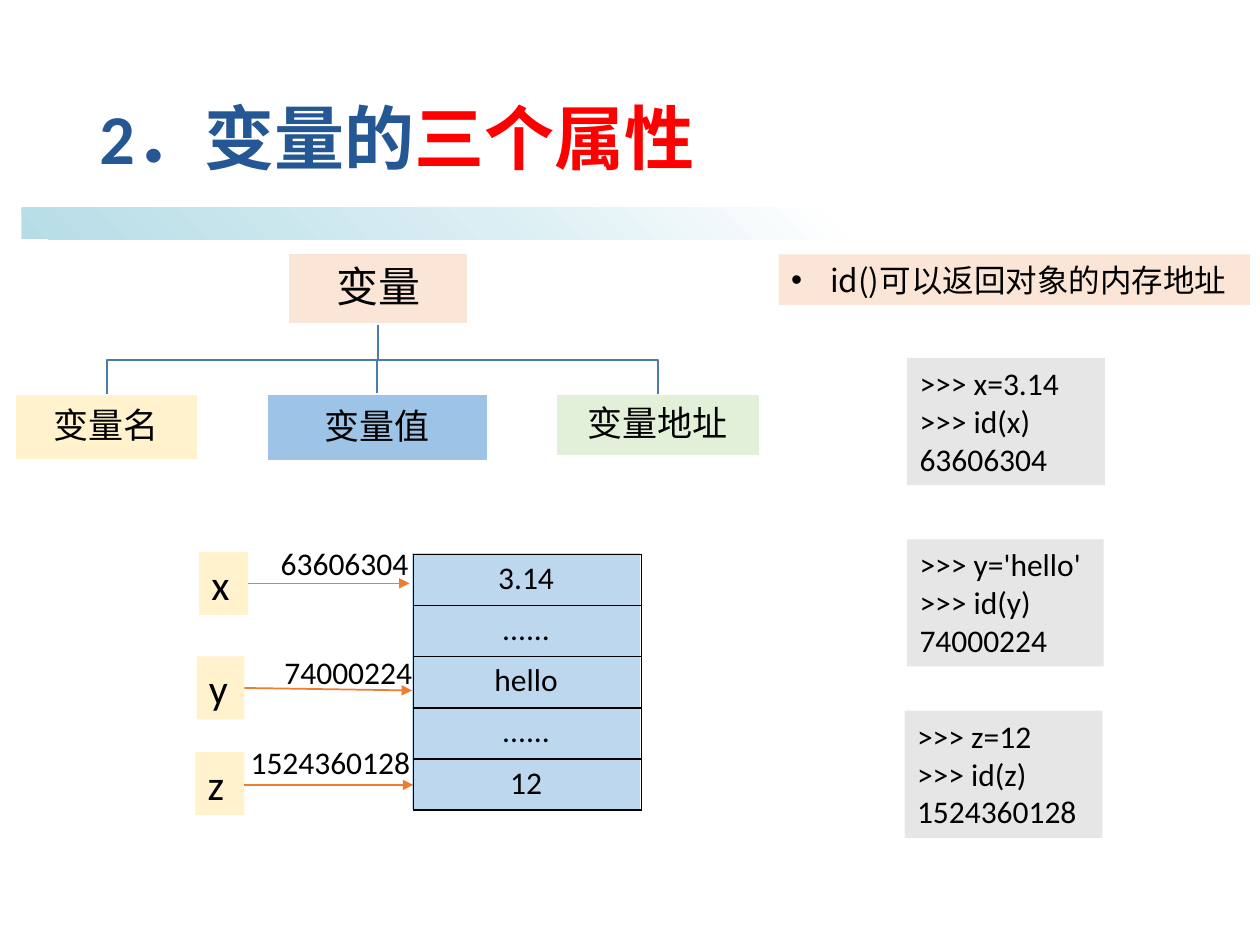
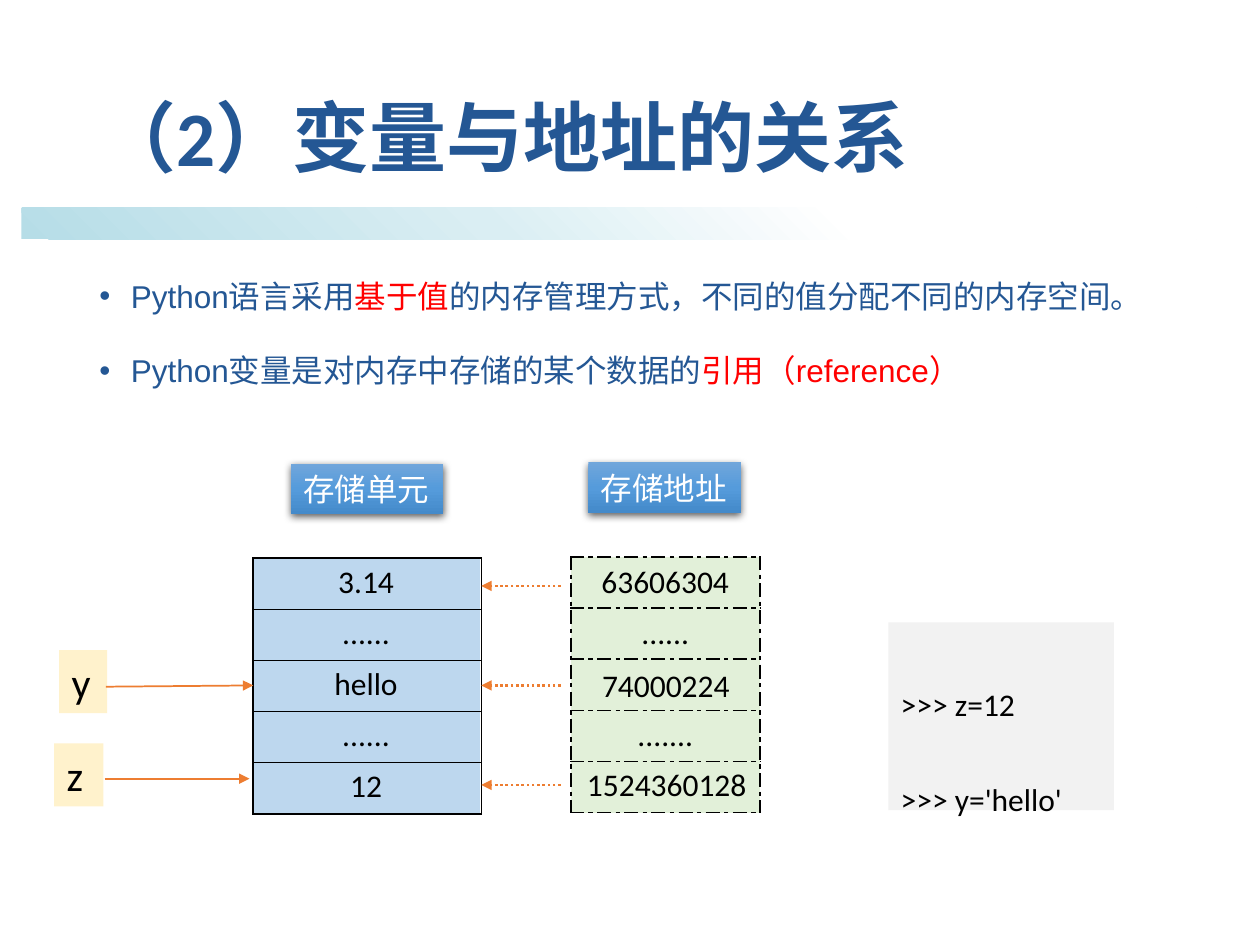
from lxml import etree
from pptx import Presentation
from pptx import util as u
from pptx.dml.color import RGBColor
from pptx.enum import dml, shapes, text
from pptx.oxml.ns import qn

PX = 9144
NAVY = RGBColor(0x24, 0x57, 0x94)
RED = RGBColor(0xFF, 0, 0)
BLACK = RGBColor(0, 0, 0)
WHITE = RGBColor(0xFF, 0xFF, 0xFF)
PEACH = RGBColor(0xFB, 0xE5, 0xD6)
CREAM = RGBColor(0xFF, 0xF2, 0xCC)
BLUE = RGBColor(0x9D, 0xC3, 0xE6)
SKY = RGBColor(0xBD, 0xD7, 0xEE)
GREEN = RGBColor(0xE2, 0xF0, 0xD9)
GREY = RGBColor(0xE7, 0xE6, 0xE6)
PALE = RGBColor(0xF2, 0xF2, 0xF2)
STEEL = RGBColor(0x49, 0x7C, 0xAB)
ORANGE = RGBColor(0xED, 0x7D, 0x31)
FADE = [(0, "B6DDE7"), (40, "DAEEF3"), (70, "FFFFFF"), (100, "FFFFFF")]
GLOSS = [(0, "71A6DB"), (50, "559BDB"), (100, "448ACA")]
MID = text.PP_ALIGN.CENTER
LEFT = text.PP_ALIGN.LEFT

BAND = (17, 165, 933, 25)
HEAD = (69, 40, 862, 145)
CELLS = ["3.14", "......", "hello", "......", "12"]
PLACES = ["63606304", "......", "", ".......", ""]

TREE = [
    ("变量", (229, 201, 142, 56), PEACH, 24),
    ("变量名", (12, 313, 145, 52), CREAM, 20),
    ("变量值", (212, 313, 175, 53), BLUE, 20),
    ("变量地址", (441, 313, 162, 49), GREEN, 20),
]
TRUNK, FORK, ENDS = (300, 257), 286, [(522, 313), (299, 313), (85, 313)]
NAMES = [
    ("x", (158, 438, 39, 50), (197, 463, 325, 463)),
    ("y", (156, 521, 38, 50), (194, 546, 327, 548)),
    ("z", (155, 597, 39, 50), (194, 623, 328, 623)),
]
LABELS = [
    ("74000224", (215, 513, 123, 40), MID),
    ("1524360128", (189, 585, 148, 40), LEFT),
    ("63606304", (208, 427, 131, 40), MID),
]
CODE = [
    ([">>> x=3.14", ">>> id(x)", "63606304"], (720, 284, 157, 101)),
    ([">>> y='hello'", ">>> id(y)", "74000224"], (720, 428, 156, 101)),
    ([">>> z=12", ">>> id(z)", "1524360128"], (718, 564, 157, 101)),
]

POINTS = [
    ["Python语言采用", ("基于值", RED), "的内存管理方式，不同的值分配不同的内存空间。"],
    ["Python变量是对内存中存储的某个数据的", ("引用（reference）", RED)],
]
REFS = [
    ("y", (47, 516, 38, 50), (84, 545, 201, 544)),
    ("z", (43, 590, 39, 50), (83, 618, 198, 618)),
]
SPOTS = [
    ("74000224", (467, 524, 123, 40), MID),
    ("1524360128", (456, 602, 148, 40), LEFT),
]
DOTS = [465, 544, 623]
TAGS = [("存储单元", (231, 368, 121, 40)), ("存储地址", (467, 367, 121, 40))]


def emu(nums):
    return [n * PX for n in nums]


def add(node, tag, **attrs):
    return etree.SubElement(node, qn(tag), attrs)


def write(frame, paras, size=18, color=BLACK, face="Calibri", bold=False,
          align=None, gap=None, before=0, hang=0):
    for i, runs in enumerate([paras] if isinstance(paras, str) else paras):
        p = frame.paragraphs[0] if i == 0 else frame.add_paragraph()
        if hang:
            ppr = p._p.get_or_add_pPr()
            ppr.set("marL", str(hang * PX))
            ppr.set("indent", str(-hang * PX))
            add(ppr, "a:buFont", typeface="Arial")
            add(ppr, "a:buChar", char="•")
        p.alignment = align
        p.line_spacing = gap
        if before and i:
            p.space_before = u.Pt(before)
        for part in [runs] if isinstance(runs, str) else runs:
            words, tint = (part, color) if isinstance(part, str) else part
            run = p.add_run()
            run.text = words
            font = run.font
            font.size, font.bold, font.name = u.Pt(size), bold, face
            font.color.rgb = tint
            add(run._r.get_or_add_rPr(), "a:ea", typeface=face)


def blend(shape, stops, angle):
    shape.fill.gradient()
    shape.fill.gradient_angle = angle
    group = shape._element.spPr.find(qn("a:gradFill")).find(qn("a:gsLst"))
    for old in list(group):
        group.remove(old)
    for pos, tint in stops:
        add(add(group, "a:gs", pos=str(pos * 1000)), "a:srgbClr", val=tint)


def block(slide, place, fill=None, edge=None):
    shape = slide.shapes.add_shape(shapes.MSO_SHAPE.RECTANGLE, *emu(place))
    shape.shadow.inherit = False
    if fill is not None:
        shape.fill.solid()
        shape.fill.fore_color.rgb = fill
    if edge is None:
        shape.line.fill.background()
    else:
        shape.line.color.rgb = edge
        shape.line.width = u.Pt(1)
    return shape


def panel(slide, place, paras, fill=None, edge=None, wrap=True, middle=False, **fmt):
    if fill is None:
        shape = slide.shapes.add_textbox(*emu(place))
    else:
        shape = block(slide, place, fill, edge)
    frame = shape.text_frame
    frame.word_wrap = wrap
    frame.vertical_anchor = text.MSO_ANCHOR.MIDDLE if middle else text.MSO_ANCHOR.TOP
    write(frame, paras, **{"align": LEFT, **fmt})


def arrow(slide, ends, width=1, dash=None):
    link = slide.shapes.add_connector(shapes.MSO_CONNECTOR.STRAIGHT, *emu(ends))
    link.line.color.rgb = ORANGE
    link.line.width = u.Pt(width)
    if dash:
        link.line.dash_style = dash
    add(link.line._get_or_add_ln(), "a:tailEnd", type="triangle")
    add(link._element.spPr, "a:effectLst")


def elbow(slide, end):
    x, y = TRUNK
    pen = slide.shapes.build_freeform(x, y, scale=PX)
    pen.add_line_segments([(x, FORK), (end[0], FORK), end], close=False)
    path = pen.convert_to_shape()
    path.shadow.inherit = False
    path.fill.background()
    path.line.color.rgb = STEEL
    path.line.width = u.Pt(1)


def grid(slide, place, items, fill=None, dash=None):
    table = slide.shapes.add_table(len(items), 1, *emu(place)).table
    table.first_row = table.horz_banding = False
    for i, item in enumerate(items):
        cell = table.cell(i, 0)
        if item:
            write(cell.text_frame, item, align=MID)
        props = cell._tc.get_or_add_tcPr()
        for side in "LRTB":
            line = add(props, "a:ln" + side, w="12700")
            if dash:
                add(add(line, "a:solidFill"), "a:srgbClr", val=str(BLACK))
                add(line, "a:prstDash", val=dash)
            else:
                add(line, "a:noFill")
        if fill is None:
            cell.fill.background()
        else:
            cell.fill.solid()
            cell.fill.fore_color.rgb = fill


def memory(slide, x, y):
    grid(slide, (x, y, 181, 203), CELLS, fill=SKY)
    grid(slide, (x + 1, y + 1, 181, 203), [""] * len(CELLS), dash="solid")


def tag(slide, words, place):
    shape = block(slide, place)
    blend(shape, GLOSS, 270)
    glow = add(shape._element.spPr.find(qn("a:effectLst")), "a:outerShdw",
               blurRad="57150", dist="19050", dir="5400000", rotWithShape="0")
    add(add(glow, "a:srgbClr", val=str(BLACK)), "a:alpha", val="63000")
    shape.text_frame.word_wrap = False
    shape.text_frame.vertical_anchor = text.MSO_ANCHOR.TOP
    write(shape.text_frame, words, face="Arial", color=WHITE, align=LEFT)


def start(deck, title, size):
    slide = deck.slides.add_slide(deck.slide_layouts[6])
    blend(block(slide, BAND), FADE, 45)
    panel(slide, HEAD, [title], size=size, color=NAVY, bold=True, gap=0.9, middle=True)
    return slide


def bind(slide, rows):
    for name, place, ends in rows:
        panel(slide, place, name, fill=CREAM, size=24)
        arrow(slide, ends)


def label(slide, rows):
    for words, place, align in rows:
        panel(slide, place, words, wrap=False, align=align)


def traits(deck):
    slide = start(deck, ["2．变量的", ("三个属性", RED)], 40)
    for end in ENDS:
        elbow(slide, end)
    for words, place, fill, size in TREE:
        panel(slide, place, words, fill=fill, edge=WHITE, size=size,
              align=MID, gap=0.9, middle=True)
    memory(slide, 327, 439)
    bind(slide, NAMES)
    panel(slide, (618, 202, 374, 40), "id()可以返回对象的内存地址",
          fill=PEACH, face="Noto Sans CJK SC", hang=31)
    for lines, place in CODE:
        panel(slide, place, lines, fill=GREY)
    label(slide, LABELS)


def links(deck):
    slide = start(deck, ["（2）变量与地址的关系"], 44)
    panel(slide, (69, 200, 862, 130), POINTS, face="Arial", color=NAVY,
          gap=1.5, before=10, hang=25)
    memory(slide, 200, 442)
    grid(slide, (453, 442, 150, 203), PLACES, fill=GREEN, dash="sysDashDot")
    for y in DOTS:
        arrow(slide, (445, y, 382, y), 1.5, dml.MSO_LINE.ROUND_DOT)
    bind(slide, REFS)
    label(slide, SPOTS)
    panel(slide, (705, 494, 179, 149), [">>> z=12", ">>> y='hello'"], fill=PALE, gap=2.5)
    for words, place in TAGS:
        tag(slide, words, place)


def main():
    deck = Presentation()
    deck.slide_width, deck.slide_height = emu((1000, 750))
    traits(deck)
    links(deck)
    deck.save("out.pptx")


if __name__ == "__main__":
    main()
